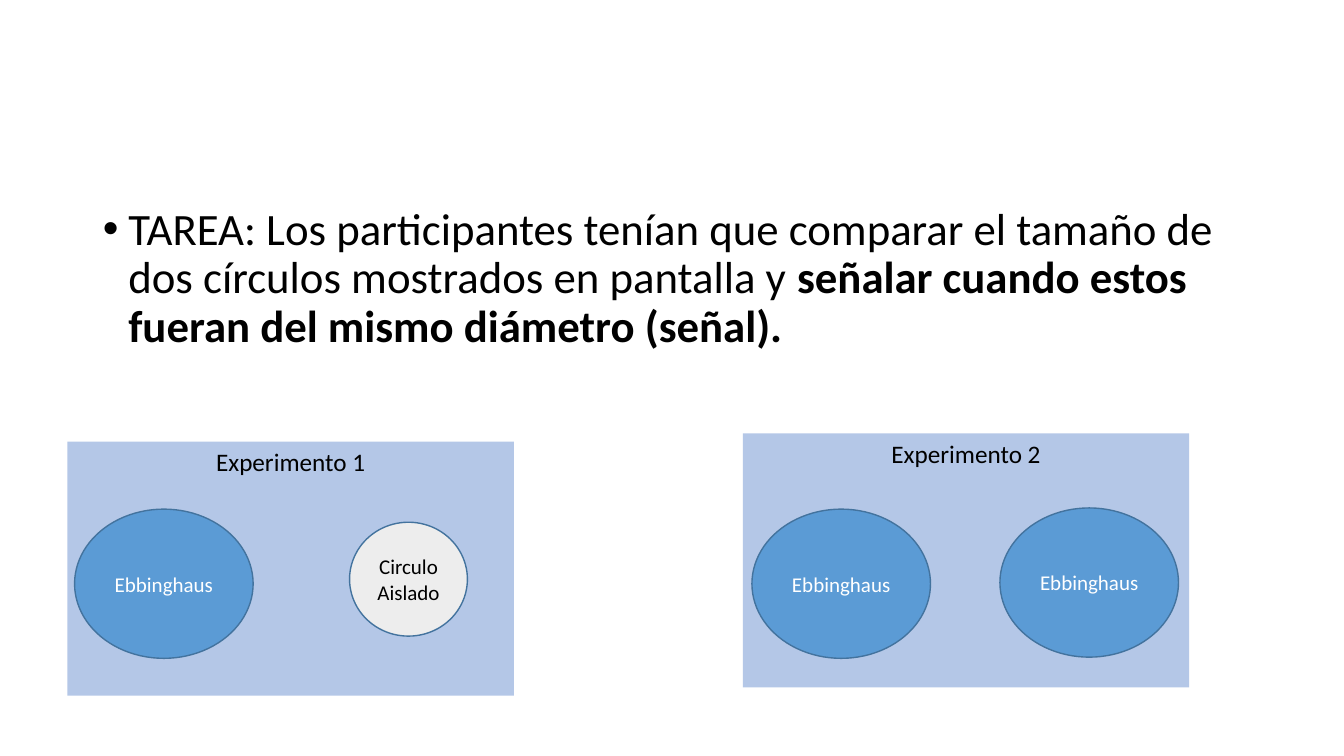
from pptx import Presentation
from pptx.dml.color import RGBColor
from pptx.enum import shapes, text
from pptx.util import Cm, Pt

FONT = "Calibri"
COLORS = {
    "black": "000000",
    "white": "FFFFFF",
    "panel": "B4C7E7",
    "ebbinghaus": "5B9BD5",
    "isolated": "EDEDED",
    "outline": "43739E",
}


def color(name):
    return RGBColor.from_string(COLORS[name])


def format_run(run, size, color_name, bold=False):
    run.font.name = FONT
    run.font.size = Pt(size)
    run.font.bold = bold
    run.font.color.rgb = color(color_name)


def place(shape, left, top, width, height):
    shape.left, shape.top = Cm(left), Cm(top)
    shape.width, shape.height = Cm(width), Cm(height)


def fill_task(placeholder):
    place(placeholder, 2.34, 5.08, 29.21, 12.09)
    frame = placeholder.text_frame
    frame.auto_size = text.MSO_AUTO_SIZE.NONE
    paragraph = frame.paragraphs[0]
    paragraph.line_spacing = 0.9
    paragraph.space_before = Pt(10)
    properties = paragraph._p.get_or_add_pPr()
    properties.set("marL", str(Cm(0.64)))
    properties.set("indent", str(Cm(-0.64)))
    for wording, bold in (
        ("TAREA: Los participantes tenían que comparar el tamaño de "
         "dos círculos mostrados en pantalla y ", False),
        ("señalar cuando estos fueran del mismo diámetro (señal).", True),
    ):
        run = paragraph.add_run()
        run.text = wording
        format_run(run, 32, "black", bold)


def add_labelled_shape(slide, kind, box, label, fill, size, font_color, anchor):
    shape = slide.shapes.add_shape(kind, *(Cm(length) for length in box))
    shape.shadow.inherit = False
    shape.fill.solid()
    shape.fill.fore_color.rgb = color(fill)
    frame = shape.text_frame
    frame.word_wrap = True
    frame.vertical_anchor = anchor
    frame.text = label
    paragraph = frame.paragraphs[0]
    paragraph.alignment = text.PP_ALIGN.CENTER
    format_run(paragraph.runs[0], size, font_color)
    return shape


def add_panel(slide, left, top, label):
    panel = add_labelled_shape(
        slide, shapes.MSO_SHAPE.RECTANGLE, (left, top, 11.25, 6.4), label,
        "panel", 18, "black", text.MSO_ANCHOR.TOP)
    panel.line.fill.background()


def add_circle(slide, box, label, fill, font_color):
    circle = add_labelled_shape(
        slide, shapes.MSO_SHAPE.OVAL, box, label,
        fill, 15, font_color, text.MSO_ANCHOR.MIDDLE)
    circle.line.color.rgb = color("outline")
    circle.line.width = Pt(1)


def main():
    presentation = Presentation()
    presentation.slide_width = Cm(33.87)
    presentation.slide_height = Cm(19.05)
    slide = presentation.slides.add_slide(presentation.slide_layouts[1])
    title = slide.shapes.title._element
    title.getparent().remove(title)
    fill_task(slide.placeholders[1])

    add_panel(slide, 1.7, 11.13, "Experimento 1")
    add_panel(slide, 18.72, 10.92, "Experimento 2")
    for left, top in ((1.88, 12.83), (18.95, 12.83), (25.2, 12.8)):
        add_circle(slide, (left, top, 4.5, 3.76), "Ebbinghaus", "ebbinghaus", "white")
    add_circle(slide, (8.81, 13.16, 2.97, 2.87), "Circulo Aislado", "isolated", "black")

    presentation.save("out.pptx")


if __name__ == "__main__":
    main()
